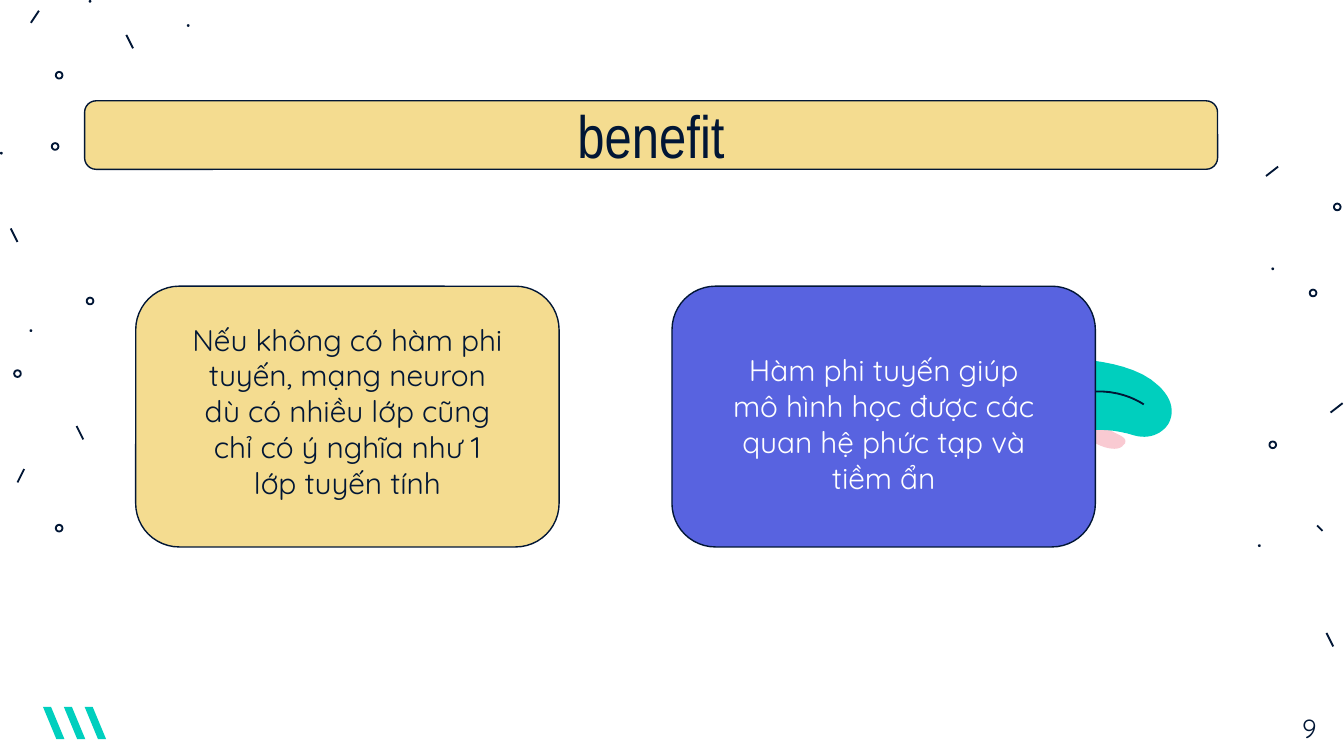
from pptx import Presentation
from pptx.dml.color import RGBColor
from pptx.enum.shapes import MSO_CONNECTOR, MSO_SHAPE
from pptx.enum.text import MSO_ANCHOR, PP_ALIGN
from pptx.util import Inches, Pt
from lxml import etree

NAVY, TEAL, PINK = "011635", "00CFBE", "F9CAD2"
SAND, BLUE, WHITE = "F4DC90", "5863E0", "FFFFFF"
NS = "http://schemas.openxmlformats.org/drawingml/2006/main"

# Confetti: dashes as from x, from y, to x, to y; rings and dots by centre
DASHES = [
    (0.29, 0.08, 0.23, 0.17), (0.94, 0.26, 0.99, 0.36),
    (0.08, 1.7, 0.13, 1.8), (0.57, 3.17, 0.62, 3.27),
    (0.18, 3.49, 0.13, 3.59), (9.51, 1.24, 9.42, 1.31),
    (9.99, 3, 9.9, 3.07), (9.8, 3.91, 9.84, 3.95),
    (9.87, 4.71, 9.92, 4.81),
]
RINGS = [
    (0.44, 0.56), (0.41, 1.09), (0.67, 2.24), (0.13, 2.78), (0.44, 3.93),
    (9.95, 1.54), (9.77, 2.18), (9.47, 3.31),
]
DOTS = [
    (0.67, 0.01), (1.4, 0.19), (0.01, 1.14), (0.23, 2.46),
    (9.47, 2), (9.37, 4.06),
]


def paint(color):
    return RGBColor.from_string(color)


def style(shape, fill=None, line=None, width=0.75):
    shape.shadow.inherit = False
    if fill:
        shape.fill.solid()
        shape.fill.fore_color.rgb = paint(fill)
    else:
        shape.fill.background()
    if line:
        shape.line.color.rgb = paint(line)
        shape.line.width = Pt(width)
    else:
        shape.line.fill.background()
    return shape


def write(shape, text, size, color, font="Quicksand", side=0.0, rise=0.0,
          align=PP_ALIGN.CENTER, anchor=MSO_ANCHOR.TOP):
    frame = shape.text_frame
    settings = {
        "word_wrap": True, "vertical_anchor": anchor,
        "margin_left": Inches(side), "margin_right": Inches(side),
        "margin_top": Inches(rise), "margin_bottom": Inches(rise),
    }
    for name, value in settings.items():
        setattr(frame, name, value)
    para = frame.paragraphs[0]
    para.alignment = align
    run = para.add_run()
    run.text = text
    for name, value in {"size": Pt(size), "name": font}.items():
        setattr(run.font, name, value)
    run.font.color.rgb = paint(color)


def add_box(slide, kind, box):
    return slide.shapes.add_shape(kind, *map(Inches, box))


def add_panel(slide, box, fill):
    panel = style(add_box(slide, MSO_SHAPE.ROUNDED_RECTANGLE, box), fill, NAVY)
    panel.adjustments[0] = 0.167
    return panel


def add_path(slide, left, top, points, closed=True):
    spots = [(Inches(left + x), Inches(top + y)) for x, y in points]
    builder = slide.shapes.build_freeform(*spots[0], scale=1.0)
    builder.add_line_segments(spots[1:], close=closed)
    return builder.convert_to_shape()


def bend(start, first, second, end, steps=12):
    """Points along a cubic curve."""
    points = []
    for step in range(steps + 1):
        t = step / steps
        u = 1 - t
        points.append(tuple(
            u**3 * a + 3 * u * u * t * b + 3 * u * t * t * c + t**3 * d
            for a, b, c, d in zip(start, first, second, end)))
    return points


def add_round(slide, x, y, size, **look):
    box = (x - size / 2, y - size / 2, size, size)
    style(add_box(slide, MSO_SHAPE.OVAL, box), **look)


def add_confetti(slide):
    for ends in DASHES:
        dash = slide.shapes.add_connector(
            MSO_CONNECTOR.STRAIGHT, *map(Inches, ends))
        dash.line.color.rgb = paint(NAVY)
        dash.line.width = Pt(1)
        etree.SubElement(dash.element.spPr, f"{{{NS}}}effectLst")
    for x, y in RINGS:
        add_round(slide, x, y, 0.05, line=NAVY, width=1)
    for x, y in DOTS:
        add_round(slide, x, y, 0.02, fill=NAVY)


def add_stripes(slide, left, top, width, height):
    gap, thick = 0.155, 0.06
    lean = width - 2 * gap - thick
    points = [(0, 0), (thick, 0), (lean + thick, height), (lean, height)]
    for index in range(3):
        style(add_path(slide, left + index * gap, top, points), TEAL)


def add_leaf(slide, left, top):
    # Pink tip
    tip = (bend((0.41, 0.64), (0.37, 0.7), (0.23, 0.66), (0.14, 0.59))
           + bend((0.23, 0.45), (0.3, 0.57), (0.45, 0.56), (0.42, 0.63)))
    style(add_path(slide, left, top, tip), PINK)
    # Teal body
    body = (bend((0.74, 0.49), (0.69, 0.56), (0.6, 0.6), (0.49, 0.57))
            + bend((0.49, 0.57), (0.27, 0.5), (0.1, 0.54), (0.1, 0.54))
            + bend((0, 0), (0, 0), (0.47, 0), (0.67, 0.2))
            + bend((0.67, 0.2), (0.78, 0.3), (0.79, 0.41), (0.74, 0.49)))
    style(add_path(slide, left, top, body), TEAL)
    # Vein
    vein = bend((0.04, 0.27), (0.34, 0.18), (0.56, 0.34), (0.56, 0.34))
    style(add_path(slide, left, top, vein, False), line=NAVY, width=1)


def add_card(slide, box, fill, text, color, drop):
    left, top, width, height = box
    add_panel(slide, box, fill)
    pad = 0.42
    label = slide.shapes.add_textbox(
        Inches(left + pad), Inches(top + drop),
        Inches(width - 2 * pad), Inches(0.57))
    write(label, text, 16, color)


def add_title(slide, box, text):
    write(add_panel(slide, box, SAND), text, 32, NAVY, "Arial Narrow",
          side=0.1, rise=0.1, anchor=MSO_ANCHOR.MIDDLE)


def add_number(slide, box, text):
    label = slide.shapes.add_textbox(*map(Inches, box))
    write(label, text, 14, NAVY, side=0.1, rise=0.05, align=PP_ALIGN.LEFT)


def main():
    deck = Presentation()
    # Widescreen, 16 to 9
    deck.slide_width = Inches(10)
    deck.slide_height = Inches(10 * 9 / 16)
    slide = deck.slides.add_slide(deck.slide_layouts[6])
    slide.background.fill.solid()
    slide.background.fill.fore_color.rgb = paint(WHITE)

    # Decoration
    add_confetti(slide)
    add_stripes(slide, 0.32, 5.26, 0.47, 0.24)
    add_leaf(slide, 7.95, 2.67)

    # Cards
    add_card(slide, (5, 2.13, 3.15, 1.94), BLUE,
             "Hàm phi tuyến giúp mô hình học được các quan hệ phức tạp "
             "và tiềm ẩn", WHITE, 0.49)
    add_card(slide, (1.01, 2.13, 3.15, 1.94), SAND,
             "Nếu không có hàm phi tuyến, mạng neuron dù có nhiều lớp cũng "
             "chỉ có ý nghĩa như 1 lớp tuyến tính", NAVY, 0.26)

    # Title and page number
    add_title(slide, (0.63, 0.75, 8.43, 0.51), "benefit")
    add_number(slide, (9.59, 5.25, 0.31, 0.34), "9")
    deck.save("out.pptx")


if __name__ == "__main__":
    main()
